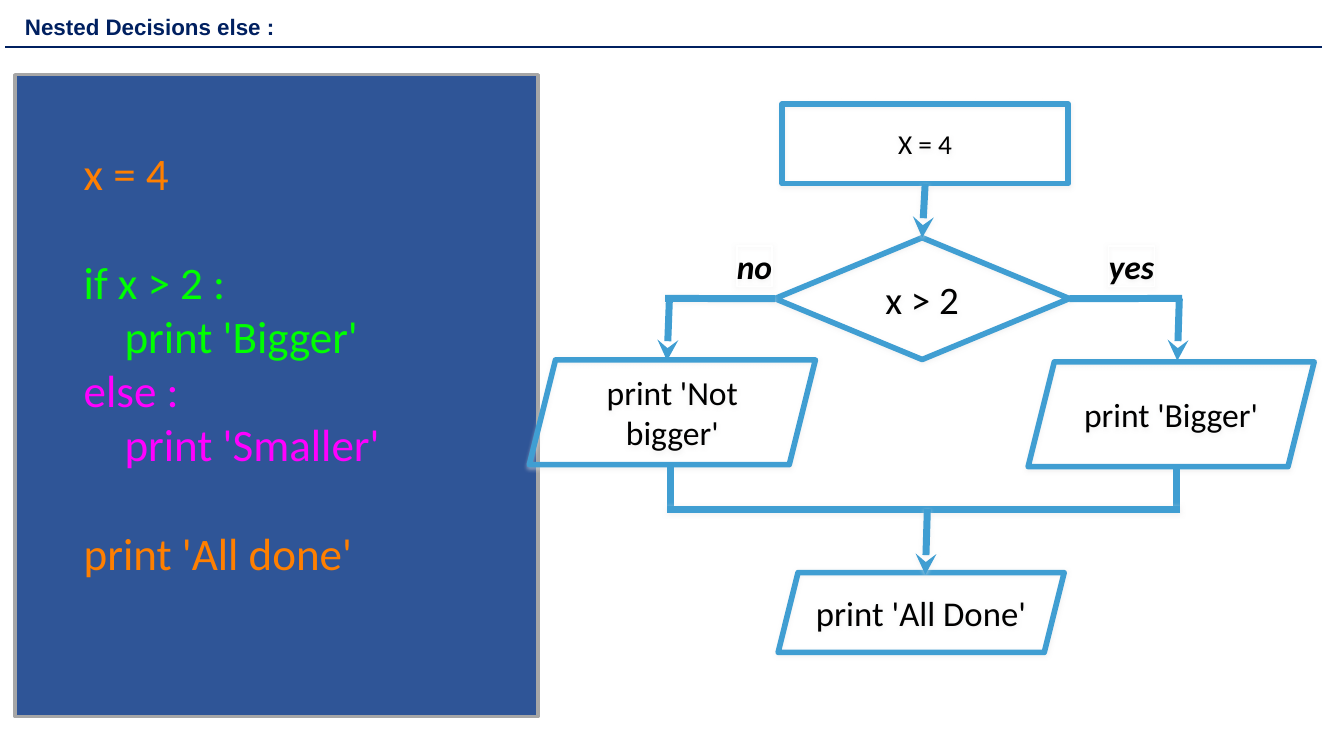
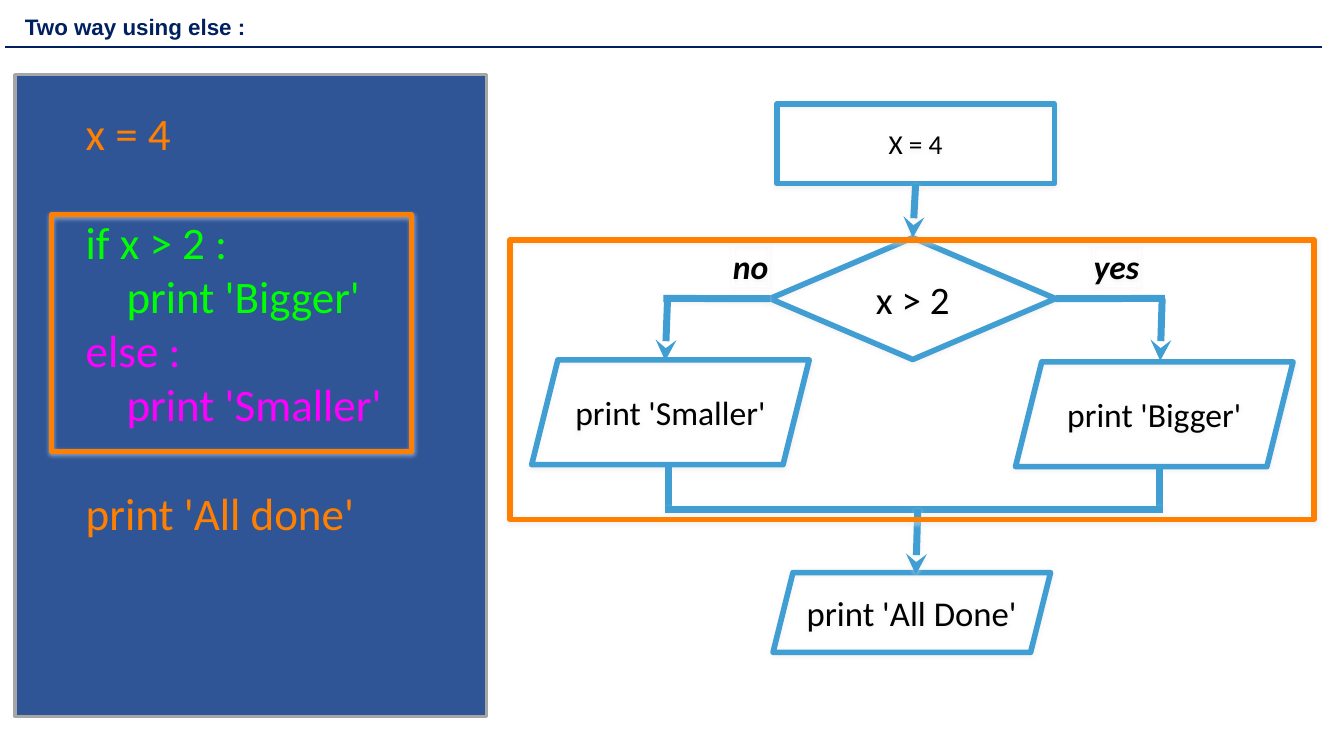
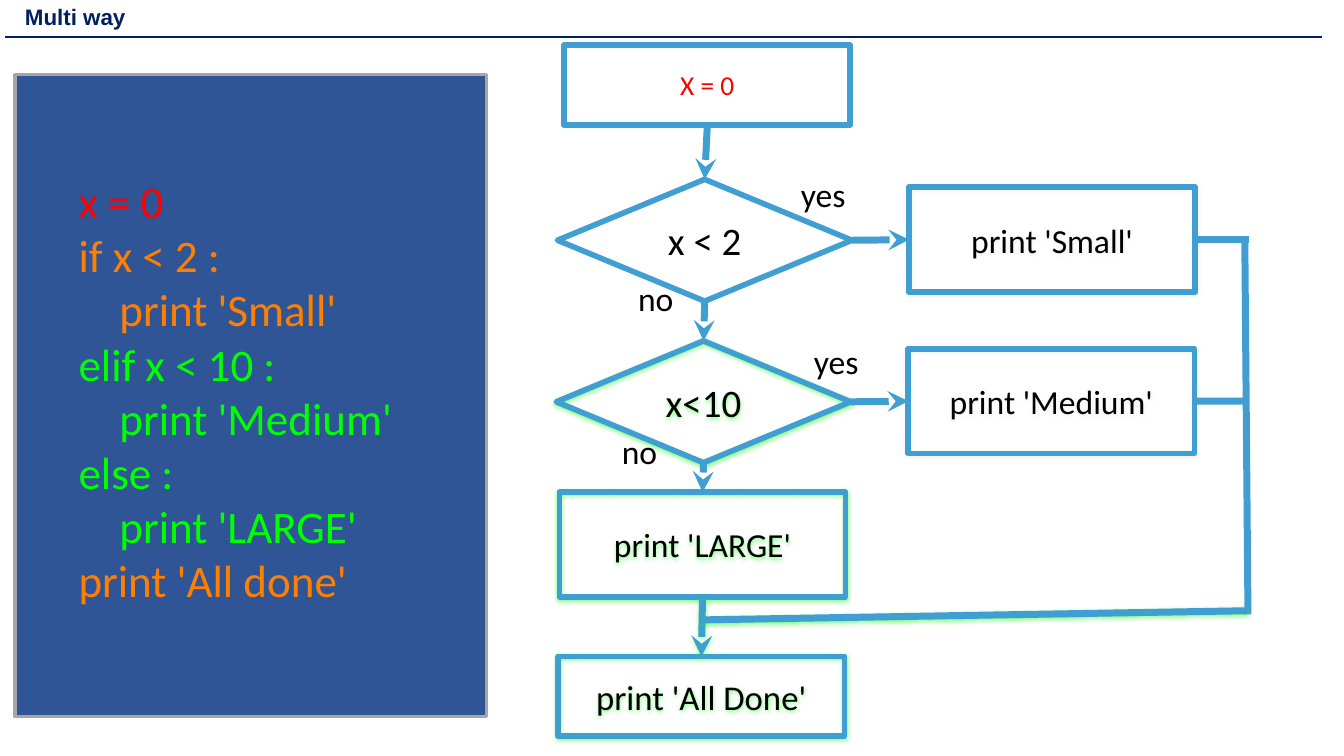
from lxml.etree import SubElement
from pptx import Presentation
from pptx.dml.color import RGBColor
from pptx.enum.shapes import MSO_CONNECTOR, MSO_SHAPE
from pptx.enum.text import MSO_ANCHOR, PP_ALIGN
from pptx.oxml.ns import qn
from pptx.util import Cm, Pt

WHITE = RGBColor(0xFF, 0xFF, 0xFF)
BLACK = RGBColor(0x00, 0x00, 0x00)
NAVY = RGBColor(0x00, 0x20, 0x60)
PANEL = RGBColor(0x2F, 0x55, 0x97)
EDGE = RGBColor(0xA6, 0xA6, 0xA6)
SKY = RGBColor(0x40, 0x9E, 0xD2)
ORANGE = RGBColor(0xFF, 0x7F, 0x00)
GREEN = RGBColor(0x00, 0xFF, 0x00)
PINK = RGBColor(0xFF, 0x00, 0xFF)
RED = RGBColor(0xFF, 0x00, 0x00)
GREY = RGBColor(0xE7, 0xE6, 0xE6)

RECT, RHOMB, SLANT = MSO_SHAPE.RECTANGLE, MSO_SHAPE.DIAMOND, MSO_SHAPE.PARALLELOGRAM
TOP, LEFT, BOTTOM, RIGHT = range(4)

# Node styles: shape, width, height (cm), text size (pt)
STYLES = {
    "start": (RECT, 7.21, 2.01, 19.5),
    "test": (RHOMB, 7.42, 3.07, 27.8),
    "step": (RECT, 7.21, 2.64, 24),
    "print": (SLANT, 7.21, 2.64, 24),
    "done": (RECT, 7.21, 2.01, 24.8),
    "exit": (SLANT, 7.21, 2.01, 24.8),
}

# Code lines: text, colour, indent level, blank line before
TWO_CODE = [
    ("x = 4", ORANGE, 0, False),
    ("if x > 2 :", GREEN, 0, True),
    ("print 'Bigger'", GREEN, 1, False),
    ("else :", PINK, 0, False),
    ("print 'Smaller'", PINK, 1, False),
    ("print 'All done'", ORANGE, 0, True),
]
MULTI_CODE = [
    ("x = 0", RED, 0, False),
    ("if x < 2 :", ORANGE, 0, False),
    ("print 'Small'", ORANGE, 1, False),
    ("elif x < 10 :", GREEN, 0, False),
    ("print 'Medium'", GREEN, 1, False),
    ("else :", GREEN, 0, False),
    ("print 'LARGE'", GREEN, 1, False),
    ("print 'All done'", ORANGE, 0, False),
]


# Nodes: name -> style, text, left, top, text colour, shadow colour
def two_nodes(low):
    return {
        "set": ("start", "X = 4", 19.71, 2.62, BLACK, GREY),
        "if": ("test", "x > 2", 19.53, 5.99, BLACK, GREY),
        "high": ("print", "print 'Bigger'", 25.91, 9.12, BLACK, GREY),
        "low": ("print", low, 13.34, 9.07, BLACK, GREY),
        "end": ("exit", "print 'All Done'", 19.61, 14.43, BLACK, GREY),
    }


MULTI_NODES = {
    "set": ("start", "X = 0", 14.22, 1.14, RED, None),
    "if": ("test", "x < 2", 14.05, 4.52, BLACK, None),
    "elif": ("test", "x<10", 14.02, 8.59, BLACK, GREEN),
    "small": ("step", "print 'Small'", 22.91, 4.72, BLACK, GREY),
    "medium": ("step", "print 'Medium'", 22.89, 8.79, BLACK, GREY),
    "large": ("step", "print 'LARGE'", 14.1, 12.4, BLACK, GREEN),
    "end": ("done", "print 'All Done'", 14.07, 16.54, BLACK, GREEN),
}

# Links: from, to, arrow, shadow; an end is (node, side) or (x, y)
TWO_LINKS = [
    (("set", BOTTOM), ("if", TOP), True, GREY),
    (("if", RIGHT), (29.79, 7.52), False, None),
    ((29.72, 7.52), (29.67, 9.09), True, None),
    (("if", LEFT), (16.76, 7.52), False, GREY),
    ((16.87, 7.52), (16.81, 9.09), True, None),
    ((29.65, 11.75), (29.65, 12.83), False, None),
    ((16.9, 11.75), (16.9, 12.83), False, None),
    ((29.74, 12.83), (16.81, 12.83), False, GREY),
    ((23.37, 12.83), (23.32, 14.48), True, GREY),
]
MULTI_LINKS = [
    (("set", BOTTOM), ("if", TOP), True, None),
    (("if", RIGHT), ("small", LEFT), True, None),
    (("if", BOTTOM), ("elif", TOP), True, None),
    (("elif", RIGHT), ("medium", LEFT), True, None),
    (("elif", BOTTOM), ("large", TOP), True, None),
    (("large", BOTTOM), ("end", TOP), True, GREEN),
    (("small", RIGHT), (31.47, 6.04), False, None),
    (("medium", RIGHT), (31.39, 10.11), False, None),
    ((31.37, 6.04), (31.45, 15.48), False, None),
    ((31.42, 15.39), (17.7, 15.62), False, GREEN),
]

# Branch labels: text, left, top
TWO_TAGS = [("yes", 27.94, 6.2), ("no", 18.57, 6.2)]
MULTI_TAGS = [("yes", 20.17, 4.39), ("no", 16.08, 6.99),
              ("yes", 20.5, 8.59), ("no", 15.67, 10.85)]

# scale and shift fit the chart sideways; lift moves the title up
SLIDES = [
    dict(title="Nested Decisions else :", lift=0, panel=13.18,
         code=TWO_CODE, at=(2.11, 3.63), nodes=two_nodes("print 'Not bigger'"),
         links=TWO_LINKS, tags=TWO_TAGS, boxed=True, scale=1, shift=0, frames=[]),
    dict(title="Two way using else :", lift=0, panel=11.89,
         code=TWO_CODE, at=(2.16, 2.62), nodes=two_nodes("print 'Smaller'"),
         links=TWO_LINKS, tags=TWO_TAGS, boxed=True, scale=0.97, shift=0.46,
         frames=[(12.85, 6.05, 20.27, 7.04), (1.3, 5.41, 9.07, 5.97)]),
    dict(title="Multi way", lift=0.25, panel=11.89,
         code=MULTI_CODE, at=(1.98, 4.32), nodes=MULTI_NODES,
         links=MULTI_LINKS, tags=MULTI_TAGS, boxed=False, scale=1, shift=0, frames=[]),
]


def shade(item, color):
    """Replace the theme shadow by a soft one, or by none."""
    props = item.element.spPr
    effect = props.find(qn("a:effectLst"))
    if effect is None:
        effect = SubElement(props, qn("a:effectLst"))
    if color is not None:
        drop = SubElement(effect, qn("a:outerShdw"), blurRad=str(Pt(3)),
                          dist=str(Pt(1)), dir="5400000", rotWithShape="0")
        tint = SubElement(drop, qn("a:srgbClr"), val=str(color))
        SubElement(tint, qn("a:alpha"), val="50000")


def add_box(slide, kind, area, fill=None, line=None, width=4, shadow=None):
    box = slide.shapes.add_shape(kind, *map(Cm, area))
    box.shadow.inherit = False
    if fill is None:
        box.fill.background()
    else:
        box.fill.solid()
        box.fill.fore_color.rgb = fill
    if line is None:
        box.line.fill.background()
    else:
        box.line.color.rgb = line
        box.line.width = Pt(width)
    shade(box, shadow)
    return box


def set_font(para, size, color, name="Calibri", bold=False, italic=False):
    font = para.font
    font.name, font.size, font.color.rgb = name, Pt(size), color
    font.bold, font.italic = bold, italic


def set_frame(box, anchor=MSO_ANCHOR.MIDDLE, wrap=True, pad=(0, 0)):
    frame = box.text_frame
    frame.word_wrap, frame.vertical_anchor = wrap, anchor
    frame.margin_left = frame.margin_right = Cm(pad[0])
    frame.margin_top = frame.margin_bottom = Cm(pad[1])
    return frame


def add_label(box, text, size, color, wrap=True, **look):
    para = set_frame(box, wrap=wrap).paragraphs[0]
    para.text, para.alignment = text, PP_ALIGN.CENTER
    set_font(para, size, color, **look)


def add_line(slide, start, end, color, width, shadow=None, arrow=False):
    line = slide.shapes.add_connector(
        MSO_CONNECTOR.STRAIGHT, *map(Cm, (*start, *end)))
    line.line.color.rgb = color
    line.line.width = Pt(width)
    if arrow:
        SubElement(line.element.spPr.find(qn("a:ln")), qn("a:tailEnd"), type="stealth")
    shade(line, shadow)
    return line


def add_title(slide, text, lift):
    box = add_box(slide, RECT, (0.38, 0.25 - lift, 22.96, 0.89), WHITE)
    para = set_frame(box, MSO_ANCHOR.BOTTOM, pad=(0.25, 0.13)).paragraphs[0]
    para.text, para.alignment, para.line_spacing = text, PP_ALIGN.LEFT, 0.9
    set_font(para, 16, NAVY, "Arial", bold=True)
    add_line(slide, (0.13, 1.19 - lift), (33.32, 1.19 - lift), NAVY, 1.5)


def add_code(slide, lines, at, width):
    add_box(slide, RECT, (0.38, 1.88, width, 16.18), PANEL, EDGE, 2.25)
    frame = set_frame(slide.shapes.add_textbox(*map(Cm, (*at, 9, 11.02))))
    for i, (text, color, level, gap) in enumerate(lines):
        para = frame.paragraphs[0] if i == 0 else frame.add_paragraph()
        para.text = text
        set_font(para, 32.2, color)
        if gap:
            para.space_before = Pt(39.3)
        if level:
            props = para._p.get_or_add_pPr()
            props.set("marL", str(Cm(1.03 * level)))
            props.set("indent", "0")


def add_chart_flow(slide, page):
    scale, shift = page["scale"], page["shift"]

    def fit(x):
        return x * scale + shift

    # Nodes
    boxes = {}
    for name, (style, text, x, y, color, shadow) in page["nodes"].items():
        kind, w, h, size = STYLES[style]
        area = (fit(x), y, w * scale, h)
        boxes[name] = add_box(slide, kind, area, line=SKY, shadow=shadow)
        add_label(boxes[name], text, size, color)

    # Links
    for start, end, arrow, shadow in page["links"]:
        spots = [(0, 0) if p[0] in boxes else (fit(p[0]), p[1]) for p in (start, end)]
        line = add_line(slide, *spots, SKY, 5, shadow, arrow)
        if start[0] in boxes:
            line.begin_connect(boxes[start[0]], start[1])
        if end[0] in boxes:
            line.end_connect(boxes[end[0]], end[1])

    # Branch labels
    boxed = page["boxed"]
    for text, x, y in page["tags"]:
        area = (fit(x), y, 1.15 if text == "yes" else 0.89, 1.02)
        if boxed:
            tag = add_box(slide, RECT, area, line=WHITE, width=1, shadow=GREY)
        else:
            tag = slide.shapes.add_textbox(*map(Cm, area))
        add_label(tag, text, 24, BLACK, wrap=False, bold=boxed, italic=boxed)


def main():
    deck = Presentation()
    deck.slide_width, deck.slide_height = Cm(33.87), Cm(19.05)
    for page in SLIDES:
        slide = deck.slides.add_slide(deck.slide_layouts[6])
        add_title(slide, page["title"], page["lift"])
        add_code(slide, page["code"], page["at"], page["panel"])
        add_chart_flow(slide, page)
        for area in page["frames"]:
            add_box(slide, RECT, area, line=ORANGE, shadow=GREY)
    deck.save("out.pptx")


if __name__ == "__main__":
    main()
